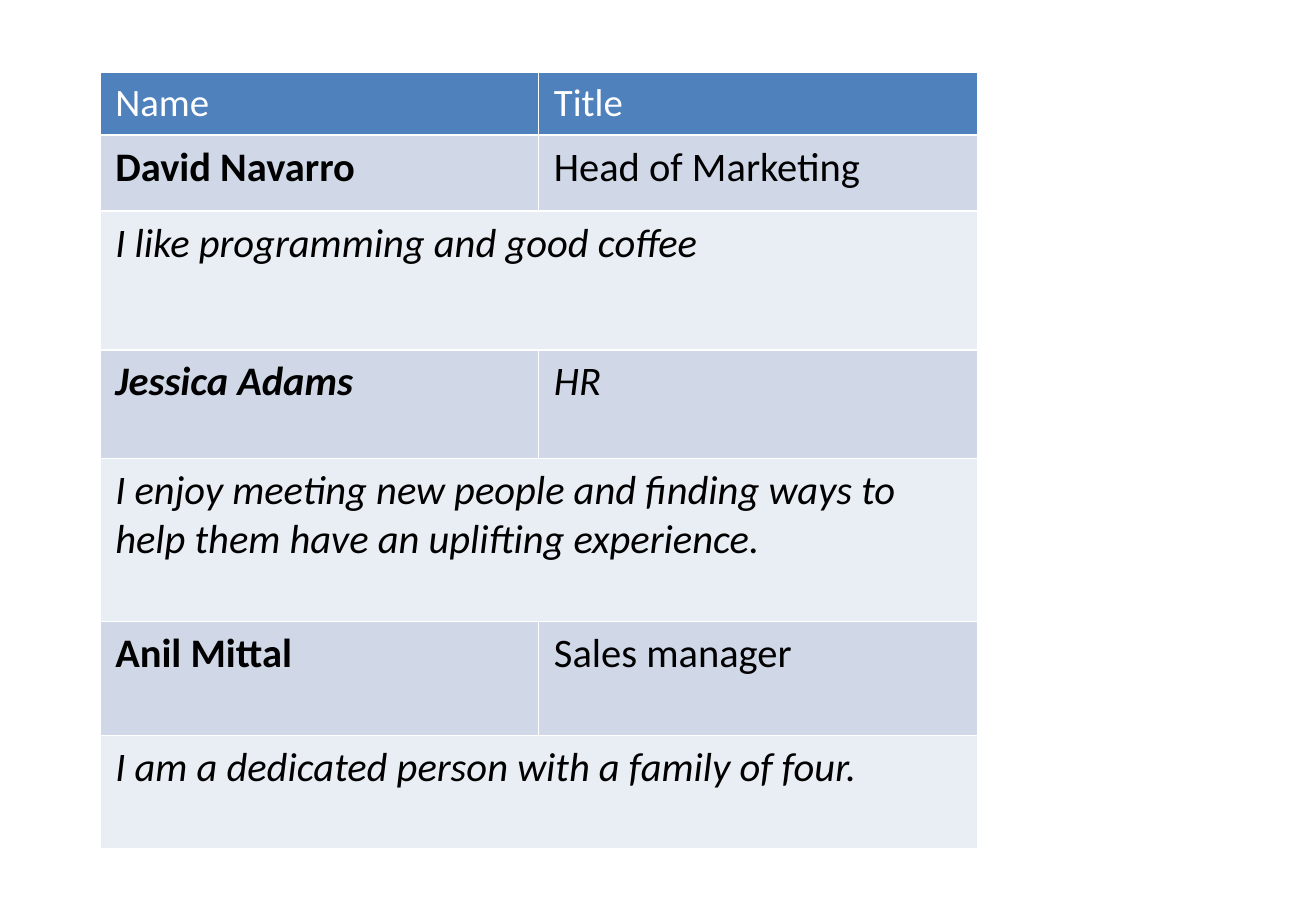
from lxml import etree
from pptx import Presentation
from pptx.dml.color import RGBColor
from pptx.oxml.ns import qn
from pptx.util import Cm, Pt

WHITE = RGBColor(0xFF, 0xFF, 0xFF)
BLACK = RGBColor(0x00, 0x00, 0x00)
BLUE = RGBColor(0x4F, 0x81, 0xBD)
MID = RGBColor(0xD0, 0xD8, 0xE8)
PALE = RGBColor(0xE9, 0xED, 0xF4)


def add_edges(cell):
    """Draw a thin white line on each side of a cell."""
    props = cell._tc.get_or_add_tcPr()
    for side in ("lnL", "lnR", "lnT", "lnB"):
        line = etree.SubElement(props, qn("a:" + side), w=str(Pt(1)))
        fill = etree.SubElement(line, qn("a:solidFill"))
        etree.SubElement(fill, qn("a:srgbClr"), val=str(WHITE))


def fill_cell(cell, text, fill, size=24, color=BLACK, bold=False, slant=False):
    """Set the text, font, margins, edges and fill of a cell."""
    cell.text = text
    font = cell.text_frame.paragraphs[0].font
    font.name = "Calibri"
    font.size = Pt(size)
    font.color.rgb = color
    font.bold = bold
    font.italic = slant
    cell.margin_left = cell.margin_right = Cm(0.32)
    cell.margin_top = cell.margin_bottom = Cm(0.16)
    add_edges(cell)
    cell.fill.solid()
    cell.fill.fore_color.rgb = fill


# Name, title, motto, slanted name row
STAFF = [
    ("David Navarro", "Head of Marketing",
     "I like programming and good coffee", False),
    ("Jessica Adams", "HR",
     "I enjoy meeting new people and finding ways to help them "
     "have an uplifting experience.", True),
    ("Anil Mittal", "Sales manager",
     "I am a dedicated person with a family of four.", False),
]
HEIGHTS = [1.31, 1.59, 2.9, 2.27, 3.41, 2.38, 2.38]

deck = Presentation()
deck.slide_width = Cm(27.51)
deck.slide_height = Cm(19.05)
slide = deck.slides.add_slide(deck.slide_layouts[6])

frame = slide.shapes.add_table(
    len(HEIGHTS), 2, Cm(2.09), Cm(1.51), Cm(18.34), Cm(sum(HEIGHTS)))
table = frame.table
for row, height in zip(table.rows, HEIGHTS):
    row.height = Cm(height)

for col, label in enumerate(("Name", "Title")):
    fill_cell(table.cell(0, col), label, BLUE, size=23, color=WHITE)

for index, (name, title, motto, slant) in enumerate(STAFF):
    top = 1 + 2 * index
    fill_cell(table.cell(top, 0), name, MID, bold=True, slant=slant)
    fill_cell(table.cell(top, 1), title, MID, slant=slant)
    wide = table.cell(top + 1, 0)
    wide.merge(table.cell(top + 1, 1))
    fill_cell(wide, motto, PALE, slant=True)

deck.save("out.pptx")
